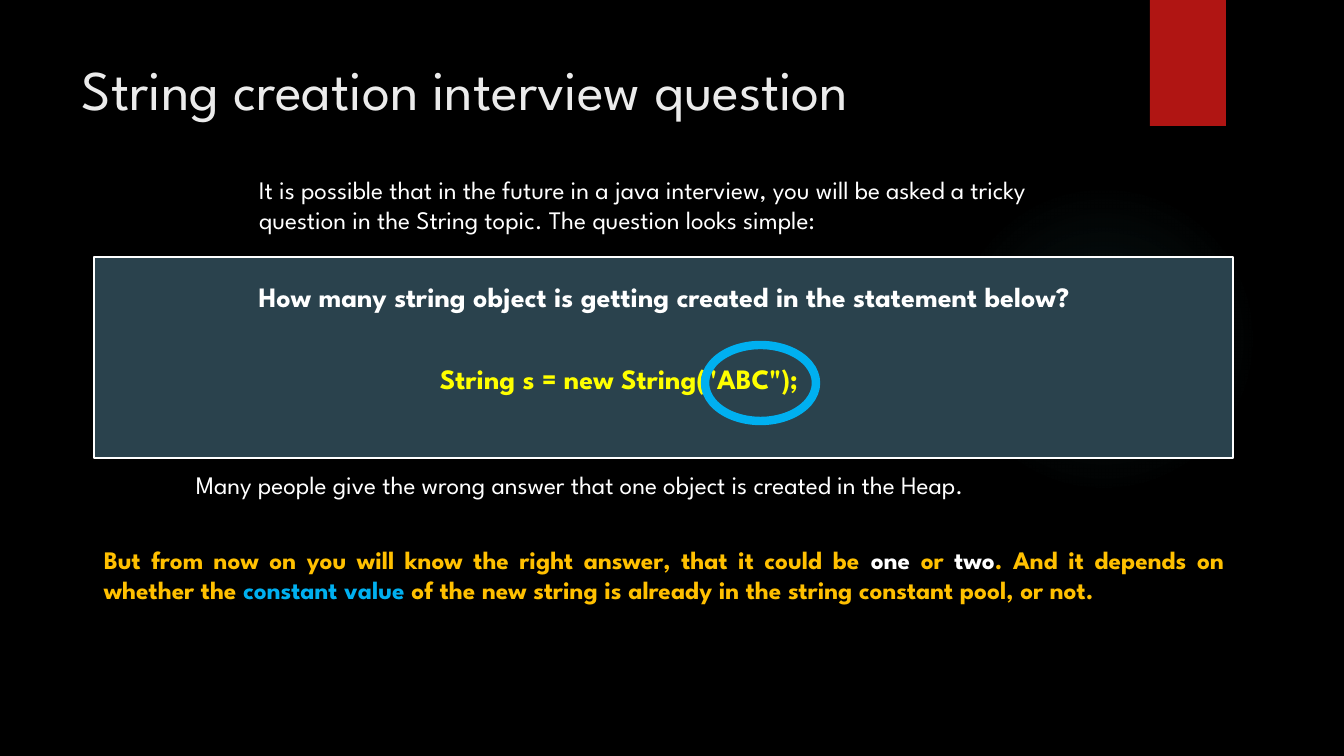
from pptx import Presentation
from pptx import util as u
from pptx.dml.color import RGBColor
from pptx.enum import shapes, text
from pptx.oxml import parse_xml
from pptx.oxml.ns import nsdecls

PX = 914400 / 100.8
FONT = "League Spartan"
WHITE, AMBER, BLUE = "FFFFFF", "FFC000", "00B0F0"
RECT, OVAL = shapes.MSO_SHAPE.RECTANGLE, shapes.MSO_SHAPE.OVAL


def px(*sizes):
    """Turn pixel lengths into EMU."""
    return [u.Emu(round(size * PX)) for size in sizes]


def paint(color, tone):
    """Set a colour format from a hex string."""
    color.rgb = RGBColor.from_string(tone)


def add_form(slide, kind, box, fill=None, line=None, width=1):
    """Draw a preset shape with an optional fill and outline."""
    form = slide.shapes.add_shape(kind, *px(*box))
    form.shadow.inherit = False
    if fill:
        form.fill.solid()
        paint(form.fill.fore_color, fill)
    else:
        form.fill.background()
    if line:
        paint(form.line.color, line)
        form.line.width = u.Pt(width)
    else:
        form.line.fill.background()
    return form


def add_glow(slide, box, tone, stops):
    """Draw an oval with a faint radial gradient of (place, opacity) percents."""
    props = add_form(slide, OVAL, box).element.spPr
    marks = "".join(
        f'<a:gs pos="{place * 1000}"><a:srgbClr val="{tone}">'
        f'<a:alpha val="{alpha * 1000}"/></a:srgbClr></a:gs>'
        for place, alpha in stops)
    grad = parse_xml(
        f'<a:gradFill {nsdecls("a")}><a:gsLst>{marks}</a:gsLst><a:path path="circle">'
        '<a:fillToRect l="50000" t="50000" r="50000" b="50000"/></a:path></a:gradFill>')
    props.replace(props[2], grad)


def add_text(slide, box, parts, size=18, bold=False, align=text.PP_ALIGN.LEFT):
    """Write one wrapped paragraph from (words, colour) parts."""
    frame = slide.shapes.add_textbox(*px(*box)).text_frame
    frame.word_wrap = True
    para = frame.paragraphs[0]
    para.alignment = align
    para.font.name, para.font.size, para.font.bold = FONT, u.Pt(size), bold
    for words, tone in parts:
        run = para.add_run()
        run.text = words
        paint(run.font.color, tone)


def main():
    """Build the slide and save it."""
    deck = Presentation()
    deck.slide_width, deck.slide_height = px(1344, 756)
    slide = deck.slides.add_slide(deck.slide_layouts[6])
    slide.background.fill.solid()
    paint(slide.background.fill.fore_color, "000000")

    add_glow(slide, (949, 184, 310, 310), "50B9C1", [(0, 7), (36, 6), (69, 0)])
    add_form(slide, RECT, (1150, 0, 76, 126), fill="B01513")
    add_form(slide, RECT, (94, 257, 1139, 201), fill="2A424D", line=WHITE)

    add_text(slide, (72, 50, 1037, 89),
             [("String creation interview question", "EBEBEB")], size=40)
    add_text(slide, (249, 169, 830, 102),
             [("It is possible that in the future in a java interview, you will be asked "
               "a tricky question in the String topic. The question looks simple:", WHITE)])
    add_text(slide, (430, 357, 404, 51),
             [('String s = new String("ABC");', "FFFF00")], size=20, bold=True)
    add_text(slide, (186, 464, 958, 40),
             [("Many people give the wrong answer that one object is created in the Heap.",
               WHITE)])
    add_form(slide, OVAL, (705, 345, 111, 76), line=BLUE, width=6)
    add_text(slide, (111, 275, 1107, 44),
             [("How many string object is getting created in the statement below?", WHITE)],
             size=20, bold=True, align=text.PP_ALIGN.CENTER)
    add_text(slide, (94, 539, 1140, 102),
             [("But from now on you will know the right answer, that it could be ", AMBER),
              ("one", WHITE), (" or ", AMBER), ("two", WHITE),
              (". And it depends on whether the ", AMBER), ("constant value", BLUE),
              (" of the new string is already in the string constant pool, or not.", AMBER)],
             bold=True, align=text.PP_ALIGN.JUSTIFY)
    deck.save("out.pptx")


if __name__ == "__main__":
    main()
